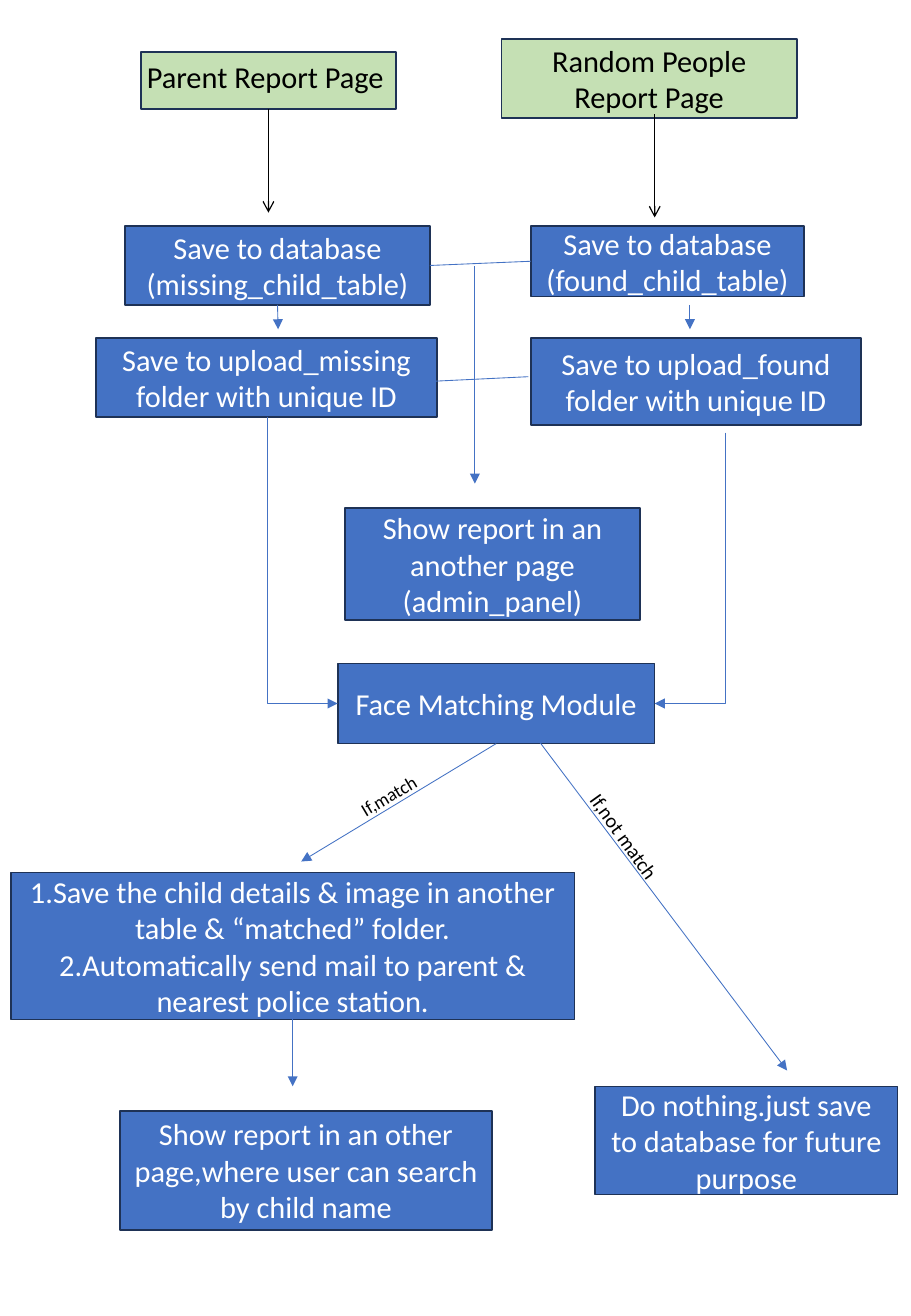
from lxml.etree import SubElement
from pptx import Presentation
from pptx.dml.color import RGBColor
from pptx.enum.shapes import MSO_CONNECTOR, MSO_SHAPE
from pptx.enum.text import MSO_ANCHOR, MSO_AUTO_SIZE, PP_ALIGN
from pptx.oxml.ns import qn
from pptx.util import Inches, Pt

WIDTH, HEIGHT = 7.5, 10.83
COLUMNS, ROWS = 75, 108.3
TOP, LEFT, BOTTOM, RIGHT = range(4)


def color(value):
    return RGBColor.from_string(value)


class FlowChart:
    font = "Calibri"
    blue, green, outline = "4472C4", "C5E0B4", "1E3256"
    dark, light = "000000", "FFFFFF"

    def __init__(self, slide):
        self.slide = slide

    def x(self, columns):
        return Inches(columns * WIDTH / COLUMNS)

    def y(self, rows):
        return Inches(rows * HEIGHT / ROWS)

    def area(self, left, top, width, height):
        return self.x(left), self.y(top), self.x(width), self.y(height)

    def add_text(self, shape, lines, ink, size=18, align=PP_ALIGN.LEFT):
        frame = shape.text_frame
        frame.word_wrap = True
        for index, line in enumerate(lines):
            para = frame.add_paragraph() if index else frame.paragraphs[0]
            para.alignment = align
            span = para.add_run()
            span.text = line
            span.font.name = self.font
            span.font.size = Pt(size)
            span.font.color.rgb = color(ink)

    def box(self, place, *lines, fill=blue, ink=light):
        box = self.slide.shapes.add_shape(MSO_SHAPE.RECTANGLE, *self.area(*place))
        box.shadow.inherit = False
        box.fill.solid()
        box.fill.fore_color.rgb = color(fill)
        box.line.color.rgb = color(self.outline)
        box.line.width = Pt(1)
        box.text_frame.vertical_anchor = MSO_ANCHOR.MIDDLE
        self.add_text(box, lines, ink, align=PP_ALIGN.CENTER)
        return box

    def label(self, place, text, size, rotation=0):
        label = self.slide.shapes.add_textbox(*self.area(*place))
        label.rotation = rotation
        self.add_text(label, [text], self.dark, size)
        label.text_frame.auto_size = MSO_AUTO_SIZE.SHAPE_TO_FIT_TEXT

    def finish(self, connector, ink, weight, head):
        connector.line.color.rgb = color(ink)
        connector.line.width = Pt(weight)
        properties = connector.element.spPr
        if head:
            SubElement(properties.find(qn("a:ln")), qn("a:tailEnd"), type=head)
        SubElement(properties, qn("a:effectLst"))

    def line(self, start, end, source=None, target=None,
             ink=blue, weight=0.5, head="triangle"):
        connector = self.slide.shapes.add_connector(
            MSO_CONNECTOR.STRAIGHT,
            self.x(start[0]), self.y(start[1]), self.x(end[0]), self.y(end[1]))
        if source:
            connector.begin_connect(*source)
        if target:
            connector.end_connect(*target)
        self.finish(connector, ink, weight, head)

    def down_then_across(self, start, end):
        across, down = end[0] - start[0], end[1] - start[1]
        middle_x, middle_y = (start[0] + end[0]) / 2, (start[1] + end[1]) / 2
        left, top = middle_x - down / 2, middle_y - abs(across) / 2
        connector = self.slide.shapes.add_connector(
            MSO_CONNECTOR.ELBOW, self.x(left), self.y(top),
            self.x(left + down), self.y(top + abs(across)))
        properties = connector.element.spPr
        properties.find(qn("a:prstGeom")).set("prst", "bentConnector2")
        frame = properties.find(qn("a:xfrm"))
        frame.set("rot", str((270 if across > 0 else 90) * 60000))
        if across > 0:
            frame.set("flipH", "1")
        self.finish(connector, self.blue, 0.5, "triangle")


def main():
    deck = Presentation()
    deck.slide_width, deck.slide_height = Inches(WIDTH), Inches(HEIGHT)
    chart = FlowChart(deck.slides.add_slide(deck.slide_layouts[6]))

    chart.box((41.3, 3.2, 24.3, 6.5), "Random People Report Page",
              fill=chart.green, ink=chart.dark)
    missing = chart.box((10.3, 18.6, 25.1, 6.5),
                        "Save to database", "(missing_child_table)")
    found = chart.box((43.7, 18.6, 22.5, 5.8),
                      "Save to database", "(found_child_table)")
    chart.box((7.9, 27.8, 28.1, 6.5), "Save to upload_missing folder with unique ID")
    chart.box((43.7, 27.8, 27.2, 7.2), "Save to upload_found folder with unique ID")
    chart.box((28.4, 41.8, 24.3, 9.2), "Show report in an another page", "(admin_panel)")
    matching = chart.box((27.8, 54.6, 26.1, 6.6), "Face Matching Module")
    chart.box((9.9, 91.4, 30.6, 9.8),
              "Show report in an other page,where user can search by child name")
    matched = chart.box(
        (0.9, 71.8, 46.4, 12.1),
        "1.Save the child details & image in another table & “matched” folder.",
        "2.Automatically send mail to parent & nearest police station.")
    chart.box((49, 89.4, 24.9, 8.9), "Do nothing.just save to database for future purpose")
    parent = chart.box((11.6, 4.3, 21, 4.7), fill=chart.green)
    chart.label((11.1, 4.3, 21.8, 4), "Parent Report Page", 18)

    report_arrow = {"ink": chart.dark, "weight": 0.75, "head": "arrow"}
    chart.line((22.1, 9), (22.1, 17.5), (parent, BOTTOM), **report_arrow)
    chart.line((53.9, 9.4), (53.9, 17.9), **report_arrow)
    chart.line((39.1, 21.9), (39.1, 39.8))
    chart.line((35.4, 21.9), (43.7, 21.5), (missing, RIGHT), (found, LEFT), head=None)
    chart.line((35.2, 31.4), (43.5, 31), head=None)
    chart.line((22.9, 25.1), (22.9, 27.1), (missing, BOTTOM))
    chart.line((56.8, 25.1), (56.8, 27.1))
    chart.down_then_across((22, 34.3), (27.8, 57.9))
    chart.down_then_across((59.7, 35.6), (53.9, 57.9))
    chart.line((24.1, 83.9), (24.1, 89.4), (matched, BOTTOM))
    chart.line((40.8, 61.2), (24.8, 70.9), (matching, BOTTOM))
    chart.line((43.7, 60.1), (64.8, 88.1))

    chart.label((28.1, 62.6, 12.6, 2.9), "If,match", 11, 329.2)
    chart.label((45.4, 69.1, 14.5, 3), "If,not match", 12, 54.5)

    deck.save("out.pptx")


if __name__ == "__main__":
    main()
